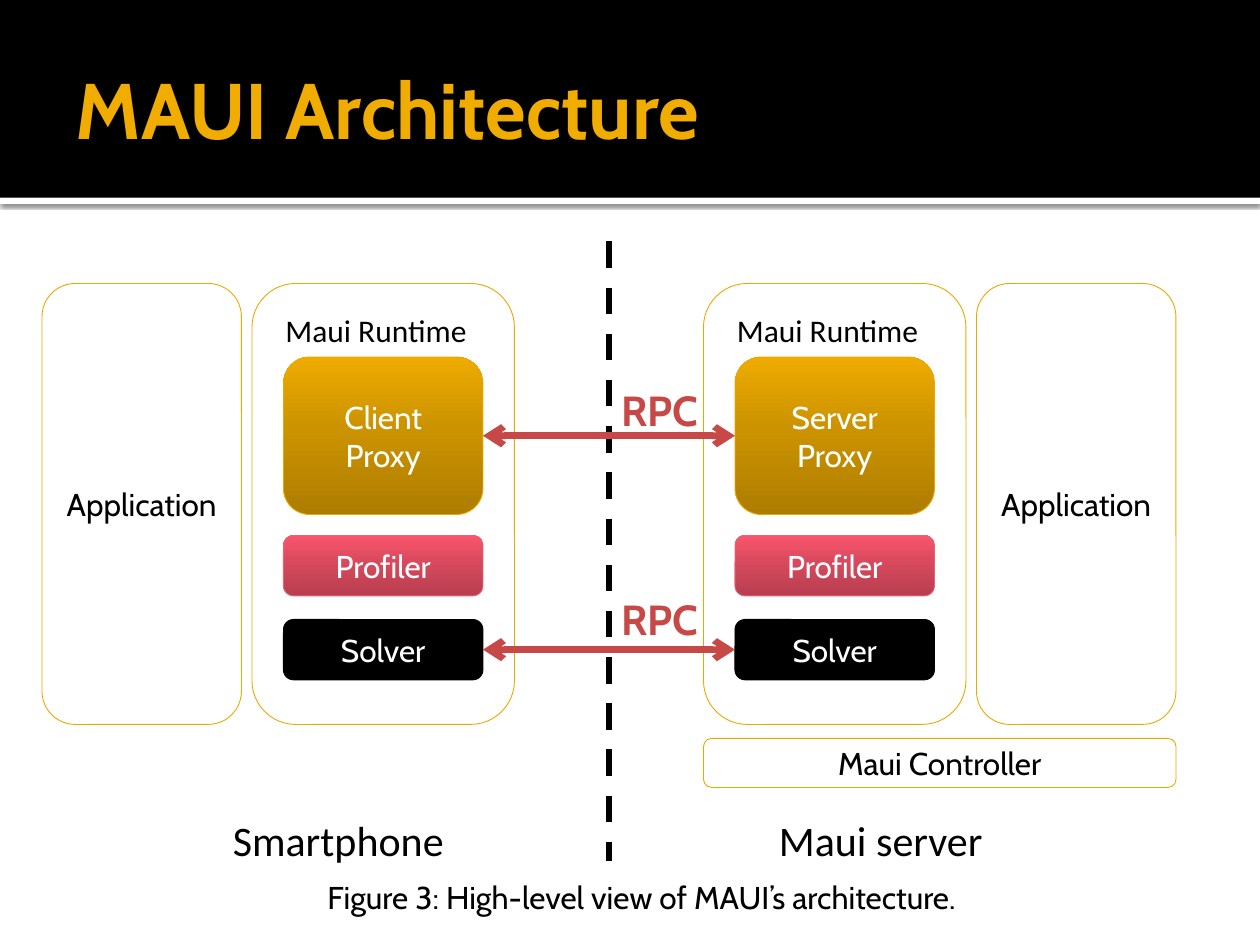
from copy import deepcopy
from dataclasses import dataclass

from lxml import etree
from pptx import Presentation
from pptx.dml.color import RGBColor
from pptx.enum.dml import MSO_LINE
from pptx.enum.shapes import MSO_CONNECTOR, MSO_SHAPE
from pptx.enum.text import MSO_ANCHOR, MSO_AUTO_SIZE, PP_ALIGN
from pptx.oxml import parse_xml
from pptx.oxml.ns import nsdecls, qn
from pptx.util import Pt

RECT, ROUND = MSO_SHAPE.RECTANGLE, MSO_SHAPE.ROUNDED_RECTANGLE
STRAIGHT = MSO_CONNECTOR.STRAIGHT
LEFT, CENTER = PP_ALIGN.LEFT, PP_ALIGN.CENTER
TOP, MIDDLE = MSO_ANCHOR.TOP, MSO_ANCHOR.MIDDLE
FIT_SHAPE = MSO_AUTO_SIZE.SHAPE_TO_FIT_TEXT
DASH = MSO_LINE.DASH
LEFT_SIDE, RIGHT_SIDE = 1, 3
TITLE_ONLY = 5


@dataclass(frozen=True)
class Theme:
    black: str = "000000"
    white: str = "FFFFFF"
    title: str = "F0AD00"
    outline: str = "EBA900"
    gold: tuple = ("AE7D00", "CC9300", "EEAB00")
    rose: tuple = ("B73E4F", "D7495D", "FA556C")
    rose_line: str = "E46778"
    rpc: str = "C64847"
    font: str = "Cabin"
    label_font: str = "Calibri"
    title_size: int = 45
    label_size: int = 24
    body_size: int = 18
    thin: float = 0.5
    thick: float = 3.78


def rgb(value):
    return RGBColor.from_string(value)


def write(tf, text, *, font, size, color, bold=False, align=LEFT, anchor=TOP):
    tf.vertical_anchor = anchor
    p = tf.paragraphs[0]
    p.alignment = align
    r = p.add_run()
    r.text = text
    r.font.name, r.font.size, r.font.bold = font, Pt(size), bold
    r.font.color.rgb = rgb(color)


def fill_gradient(s, colors):
    """Fill with three colours that run from the bottom up."""
    s.fill.gradient()
    s.fill.gradient_angle = 90
    stops = s._element.spPr.find(".//" + qn("a:gsLst"))
    stops.insert(1, deepcopy(stops[0]))
    for stop, color, position in zip(s.fill.gradient_stops, colors, (0, 0.55, 1)):
        stop.color.rgb = rgb(color)
        stop.position = position


class Deck:
    """Holds the theme and the current slide."""

    def __init__(self, prs, theme):
        self.theme = theme
        self.slide = prs.slides.add_slide(prs.slide_layouts[TITLE_ONLY])
        self.shapes = self.slide.shapes

    def title(self, text, x, y, w, h):
        s, t = self.shapes.title, self.theme
        s.left, s.top, s.width, s.height = Pt(x), Pt(y), Pt(w), Pt(h)
        tf = s.text_frame
        tf.margin_left = Pt(7.2)
        tf.margin_top = tf.margin_right = tf.margin_bottom = Pt(3.6)
        write(tf, text, font=t.font, size=t.title_size, color=t.title,
              bold=True, anchor=MIDDLE)
        self.shapes._spTree.append(s._element)  # in front of the bands

    def band(self, y, h, color, shadow=False):
        s = self.shapes.add_shape(RECT, 0, Pt(y), Pt(720), Pt(h))
        s.shadow.inherit = False
        s.fill.solid()
        s.fill.fore_color.rgb = rgb(color)
        s.line.fill.background()
        if shadow:
            s._element.spPr.find(qn("a:effectLst")).append(parse_xml(
                f'<a:outerShdw {nsdecls("a")} blurRad="{Pt(2.5)}" dist="{Pt(0.8)}" '
                'dir="5400000" rotWithShape="0"><a:srgbClr val="000000">'
                '<a:alpha val="60000"/></a:srgbClr></a:outerShdw>'))

    def box(self, x, y, w, h, text="", *, fill=None, line=None, color=None):
        """Rounded box; fill is a colour, three gradient colours or None."""
        t = self.theme
        s = self.shapes.add_shape(ROUND, Pt(x), Pt(y), Pt(w), Pt(h))
        s.shadow.inherit = False
        if fill is None:
            s.fill.background()
        elif isinstance(fill, tuple):
            fill_gradient(s, fill)
        else:
            s.fill.solid()
            s.fill.fore_color.rgb = rgb(fill)
        s.line.color.rgb = rgb(line or t.outline)
        s.line.width = Pt(t.thin)
        if text:
            write(s.text_frame, text, font=t.font, size=t.body_size,
                  color=color or t.black, align=CENTER, anchor=MIDDLE)
        return s

    def label(self, text, x, y, w, h, *, wrap=False, **style):
        t = self.theme
        tf = self.shapes.add_textbox(Pt(x), Pt(y), Pt(w), Pt(h)).text_frame
        tf.word_wrap = wrap
        tf.auto_size = FIT_SHAPE
        write(tf, text, **({"font": t.font, "size": t.body_size,
                            "color": t.black} | style))

    def line(self, x1, y1, x2, y2, color):
        c = self.shapes.add_connector(STRAIGHT, Pt(x1), Pt(y1), Pt(x2), Pt(y2))
        c.line.color.rgb = rgb(color)
        c.line.width = Pt(self.theme.thick)
        etree.SubElement(c._element.spPr, qn("a:effectLst"))
        return c

    def rpc(self, client, server, label_y):
        """Two-way arrow between two boxes, with its label."""
        t = self.theme
        c = self.line(0, 0, 0, 0, t.rpc)
        c.begin_connect(client, RIGHT_SIDE)
        c.end_connect(server, LEFT_SIDE)
        ln = c.line._get_or_add_ln()
        for end in ("a:headEnd", "a:tailEnd"):
            etree.SubElement(ln, qn(end), type="arrow")
        self.label("RPC", 348, label_y, 60, 36, size=t.label_size,
                   color=t.rpc, bold=True)

    def runtime(self, x, proxy_text):
        """Runtime frame with its parts; returns the proxy and the solver."""
        t = self.theme
        inner = x + 18
        proxy = self.box(inner, 204, 114, 90, proxy_text, fill=t.gold, color=t.white)
        self.box(x, 162, 150, 252)
        self.box(inner, 306, 114, 34.5, "Profiler", fill=t.rose,
                 line=t.rose_line, color=t.white)
        solver = self.box(inner, 354, 114, 34.5, "Solver", fill=t.black,
                          line=t.black, color=t.white)
        self.label("Maui Runtime", x + 12, 174, 120, 29, font=t.label_font)
        return proxy, solver


def main():
    prs = Presentation()
    prs.slide_width, prs.slide_height = Pt(720), Pt(540)
    t = Theme()
    deck = Deck(prs, t)

    deck.band(113, 3.6, t.white, shadow=True)
    deck.band(0, 113, t.black)
    deck.title("MAUI Architecture", 36, 12, 648, 99)

    divider = deck.line(348, 138, 348, 492, t.black)
    divider.line.dash_style = DASH
    for text, x, w in (("Smartphone", 126, 136), ("Maui server", 438, 132)):
        deck.label(text, x, 462, w, 36, font=t.label_font, size=t.label_size)

    for x in (24, 558):
        deck.box(x, 162, 114, 252, "Application")
    client = deck.runtime(144, "Client Proxy")
    server = deck.runtime(402, "Server Proxy")
    for start, end, label_y in zip(client, server, (216, 335.5)):
        deck.rpc(start, end, label_y)

    deck.box(402, 422, 270, 28, "Maui Controller")
    deck.label("Figure 3: High-level view of MAUI’s architecture.",
               180, 498, 444, 29, wrap=True)
    prs.save("out.pptx")


if __name__ == "__main__":
    main()
